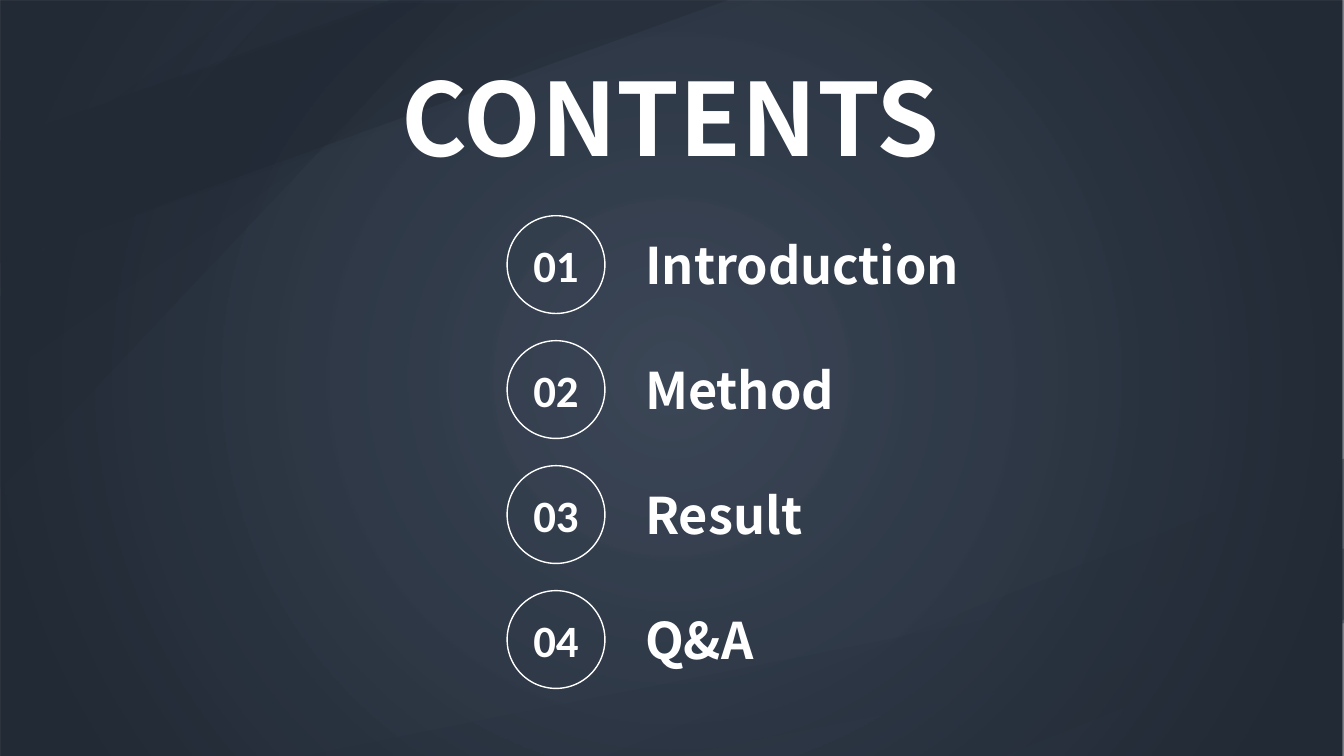
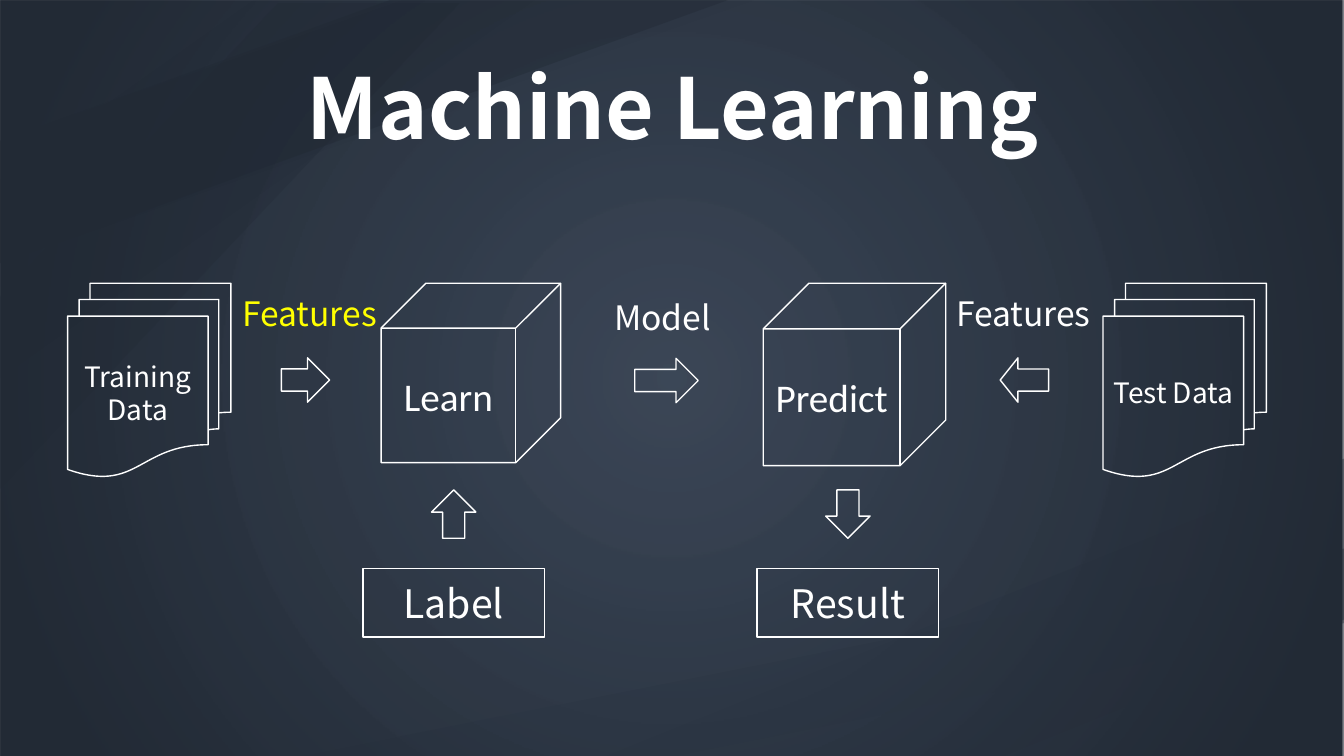
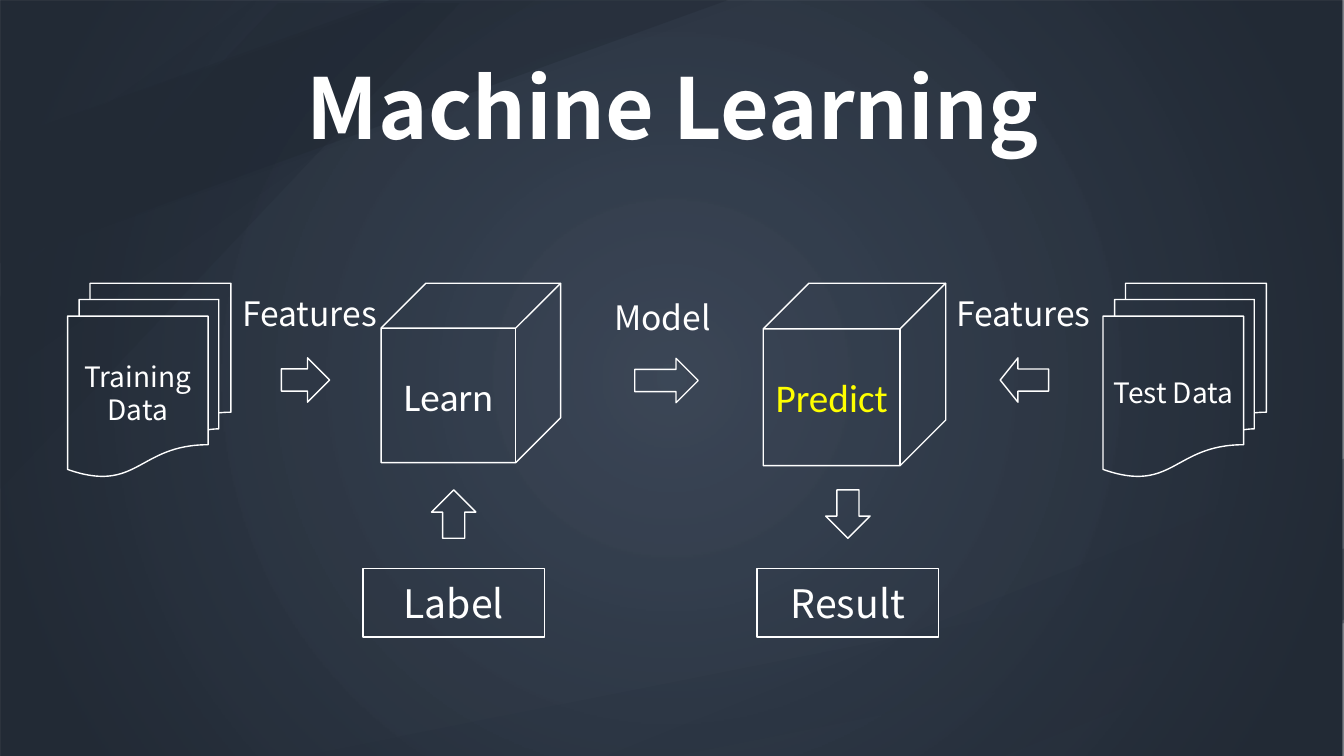
from lxml.etree import SubElement
from pptx import Presentation
from pptx.dml.color import RGBColor
from pptx.enum.shapes import MSO_SHAPE
from pptx.enum.text import MSO_ANCHOR, MSO_AUTO_SIZE, PP_ALIGN
from pptx.oxml.ns import qn
from pptx.util import Inches, Pt

WHITE, YELLOW = "FFFFFF", "FFFF00"
NAVY, SLATE = "222A35", "333F50"
SANS, DIGIT = "Noto Sans CJK SC", "Calibri"


def color(code):
    return RGBColor.from_string(code)


def fade(clr, percent):
    """Make a colour element partly transparent."""
    SubElement(clr, qn("a:alpha")).set("val", str(percent * 1000))


class Deck:
    def __init__(self):
        self.prs = Presentation()
        self.prs.slide_width = Inches(13.33)
        self.prs.slide_height = Inches(7.5)
        self.layout = self.prs.slide_layouts[5]
        self.slide = None

    def page(self, title, left, width, height, size):
        first = self.slide is None
        self.slide = self.prs.slides.add_slide(self.layout)
        if first:
            self.backdrop()
        head = self.slide.shapes.title
        self.place(head, left, 0.5, width, height)
        self.letter(head, title, size, bold=True, anchor=MSO_ANCHOR.TOP)

    def place(self, shape, left, top, width, height):
        shape.left, shape.top = Inches(left), Inches(top)
        shape.width, shape.height = Inches(width), Inches(height)

    def letter(self, shape, text, size, font=SANS, ink=WHITE, bold=False,
               align=PP_ALIGN.CENTER, anchor=MSO_ANCHOR.MIDDLE):
        """Set the text of a shape and its style."""
        frame = shape.text_frame
        frame.text = text
        frame.word_wrap = True
        frame.auto_size = MSO_AUTO_SIZE.NONE
        frame.vertical_anchor = anchor
        para = frame.paragraphs[0]
        para.alignment = align
        face = para.runs[0].font
        face.name, face.size, face.bold = font, Pt(size), bold
        face.color.rgb = color(ink)

    def shape(self, kind, box, turn=0, adjust=()):
        """Add a white outline without fill."""
        item = self.slide.shapes.add_shape(kind, *map(Inches, box))
        item.shadow.inherit = False
        item.rotation = turn
        for i, value in enumerate(adjust):
            item.adjustments[i] = value
        item.fill.background()
        item.line.color.rgb = color(WHITE)
        item.line.width = Pt(1)
        return item

    def label(self, text, box, size, **style):
        item = self.slide.shapes.add_textbox(*map(Inches, box))
        self.letter(item, text, size, **style)

    def stripe(self, box, adjust, percent, turn=0):
        item = self.shape(MSO_SHAPE.DIAGONAL_STRIPE, box, turn, [adjust])
        item.line.fill.background()
        item.fill.solid()
        item.fill.fore_color.rgb = color(NAVY)
        fade(next(item.element.iter(qn("a:srgbClr"))), percent)
        return item

    def glow(self):
        """Cover the slide with a round gradient."""
        item = self.shape(MSO_SHAPE.RECTANGLE, (0, 0, 13.33, 7.5))
        item.line.fill.background()
        item.fill.gradient()
        for stop, code, pos in zip(item.fill.gradient_stops, (SLATE, NAVY), (0, 0.9)):
            stop.color.rgb = color(code)
            stop.position = pos
        grad = next(item.element.iter(qn("a:gradFill")))
        fade(next(grad.iter(qn("a:srgbClr"))), 95)
        grad.remove(grad.find(qn("a:lin")))
        ring = SubElement(grad, qn("a:path"))
        ring.set("path", "circle")
        rect = SubElement(ring, qn("a:fillToRect"))
        for side in "ltrb":
            rect.set(side, "50000")
        return item

    def backdrop(self):
        """Draw the shared background and move it to the layout."""
        parts = [
            self.stripe((6.01, 4.55, 7.32, 2.95), 0.459, 40, 180),
            self.stripe((2.98, 5.44, 10.36, 2.06), 0.641, 40, 180),
            self.glow(),
            self.stripe((0, 0, 7.22, 2.61), 0.536, 40),
            self.stripe((0, 0.03, 4.56, 4.82), 0.605, 30),
            self.stripe((0, 0, 7.48, 2.61), 0.536, 5),
            self.stripe((0, 0, 5.3, 3.75), 0.476, 5),
        ]
        tree = self.layout.shapes.element
        for i, part in enumerate(parts):
            part.element.nvSpPr.cNvPr.set("id", str(100 + i))
            tree.insert(2 + i, part.element)


def agenda(deck):
    deck.page("CONTENTS", 3.38, 6.54, 1.31, 72)
    for i, topic in enumerate(("Introduction", "Method", "Result", "Q&A")):
        top = 2.14 + 1.24 * i
        disc = deck.shape(MSO_SHAPE.OVAL, (5.03, top, 0.97, 0.97))
        deck.letter(disc, f"{i + 1:02}", 32, font=DIGIT, bold=True)
        deck.label(topic, (6.3, top + 0.13, 3.64, 0.71), 36, bold=True,
                   align=PP_ALIGN.LEFT, anchor=MSO_ANCHOR.TOP)


def model(deck, accent):
    """Draw the learning flow; accent names the step and left edge in yellow."""
    deck.page("Machine Learning", 1.62, 10.1, 1.11, 60)

    def ink(text, left):
        return YELLOW if (text, left) == accent else WHITE

    # Data, processing and outcome blocks
    blocks = (
        (MSO_SHAPE.FLOWCHART_MULTIDOCUMENT, 2.81, 1.62, 1.92, 20, SANS,
         (("Training Data", 0.67), ("Test Data", 10.94))),
        (MSO_SHAPE.CUBE, 2.81, 1.78, 1.78, 28, DIGIT, (("Learn", 3.78),)),
        (MSO_SHAPE.CUBE, 2.81, 1.81, 1.81, 28, DIGIT, (("Predict", 7.57),)),
        (MSO_SHAPE.FLOWCHART_PROCESS, 5.64, 1.8, 0.68, 28, SANS,
         (("Label", 3.6), ("Result", 7.51))),
    )
    for kind, top, width, height, size, font, items in blocks:
        for text, left in items:
            block = deck.shape(kind, (left, top, width, height))
            deck.letter(block, text, size, font=font, ink=ink(text, left))

    # Captions above the arrows
    for text, left, top in (("Features", 2.17, 2.77), ("Model", 5.67, 2.81),
                            ("Features", 9.25, 2.77)):
        deck.label(text, (left, top, 1.8, 0.68), 24, ink=ink(text, left))

    # Block arrows
    for left, top, height, turn, adjust in (
            (2.81, 3.53, 0.48, 90, ()), (6.39, 3.46, 0.63, 90, ()),
            (9.94, 3.53, 0.48, 270, (0.5, 0.4)),
            (4.28, 4.86, 0.48, 0, ()), (8.19, 4.86, 0.48, 180, ())):
        deck.shape(MSO_SHAPE.UP_ARROW, (left, top, 0.44, height), turn, adjust)


def main():
    deck = Deck()
    agenda(deck)
    model(deck, ("Features", 2.17))
    model(deck, ("Predict", 7.57))
    deck.prs.save("out.pptx")


if __name__ == "__main__":
    main()
